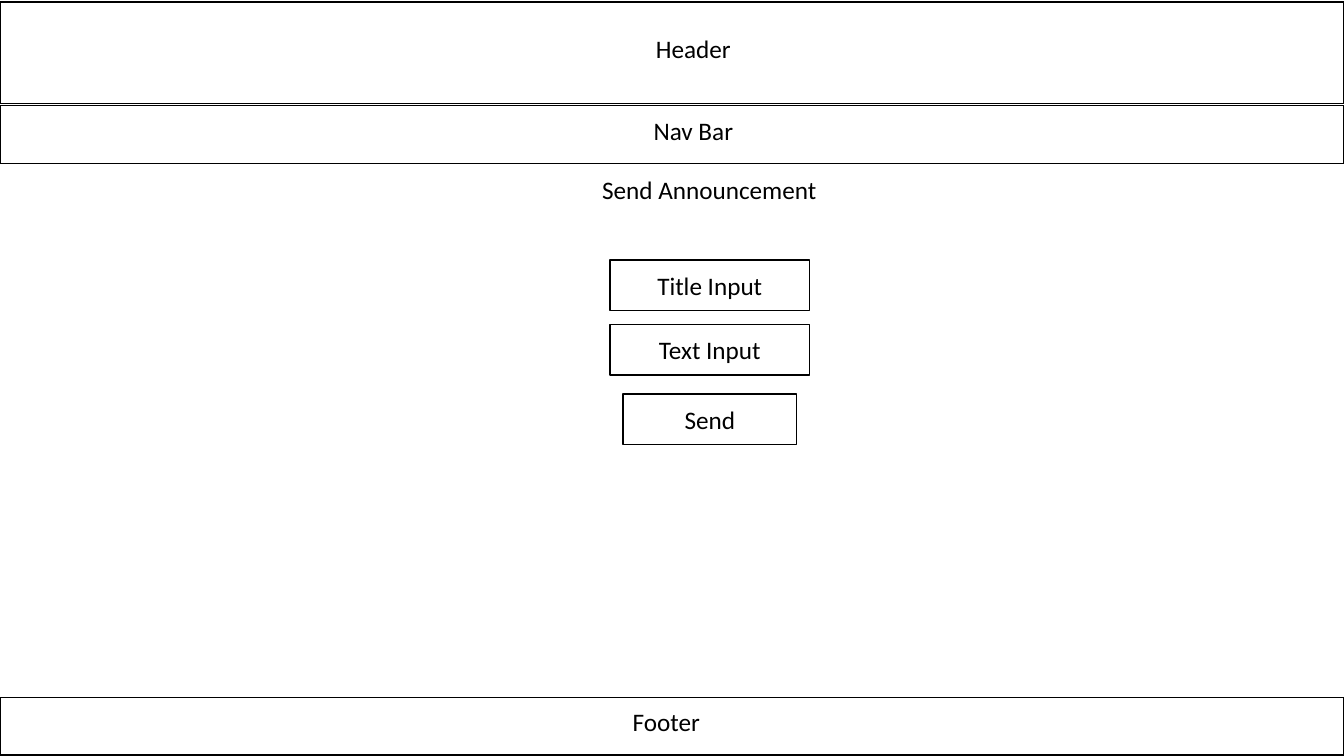
from pptx import Presentation
from pptx.dml.color import RGBColor
from pptx.enum.shapes import MSO_SHAPE
from pptx.enum.text import MSO_ANCHOR, MSO_AUTO_SIZE, PP_ALIGN
from pptx.util import Inches, Pt

BLACK = RGBColor(0, 0, 0)
RECT = MSO_SHAPE.RECTANGLE
MIDDLE = MSO_ANCHOR.MIDDLE
GROW = MSO_AUTO_SIZE.SHAPE_TO_FIT_TEXT
CENTER = PP_ALIGN.CENTER
WIDTH = 13.33

deck = Presentation()
deck.slide_width = Inches(WIDTH)
deck.slide_height = Inches(7.5)
slide = deck.slides.add_slide(deck.slide_layouts[6])


def add_frame(left, top, width, height):
    frame = slide.shapes.add_shape(
        RECT, Inches(left), Inches(top), Inches(width), Inches(height))
    frame.shadow.inherit = False
    frame.fill.background()
    frame.line.color.rgb = BLACK
    frame.line.width = Pt(1)
    return frame


def set_text(shape, text):
    shape.text_frame.word_wrap = True
    line = shape.text_frame.paragraphs[0]
    line.text = text
    line.alignment = CENTER
    line.font.name = "Calibri"
    line.font.size = Pt(18)
    line.font.color.rgb = BLACK


for top, height in [(0.02, 1.01), (1.05, 0.57), (6.92, 0.57)]:
    add_frame(0, top, WIDTH, height)

labels = [
    ("Header ", 3.97, 0.28, 0.48),
    ("Nav Bar ", 3.97, 1.09, 0.48),
    ("Send Announcement", 4.1, 1.68, 0.4),
    ("Footer  ", 3.73, 6.96, 0.48),
]
for text, left, top, height in labels:
    label = slide.shapes.add_textbox(
        Inches(left), Inches(top), Inches(5.87), Inches(height))
    set_text(label, text)
    label.text_frame.auto_size = GROW

fields = [
    ("Title Input", 6.05, 2.58, 1.98),
    ("Text Input", 6.05, 3.22, 1.98),
    ("Send", 6.18, 3.91, 1.72),
]
for text, left, top, width in fields:
    field = add_frame(left, top, width, 0.5)
    set_text(field, text)
    field.text_frame.vertical_anchor = MIDDLE

deck.save("out.pptx")
